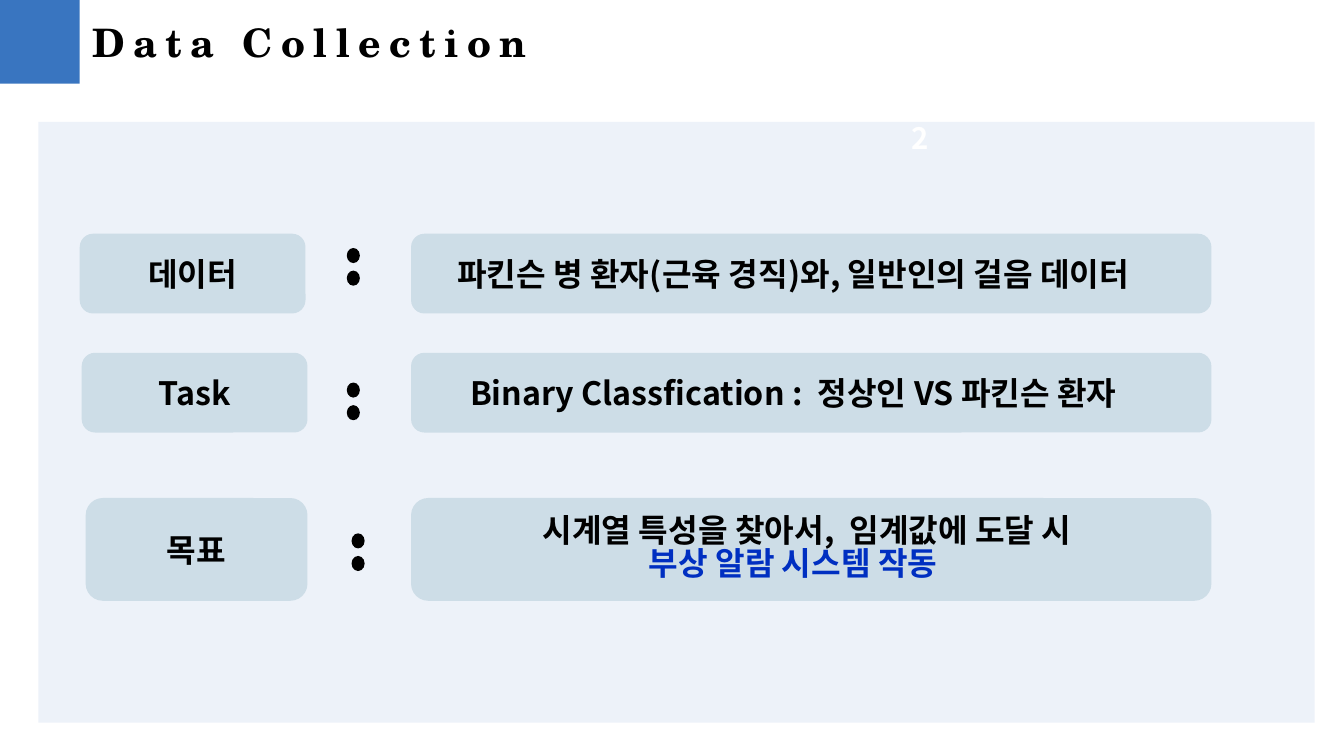
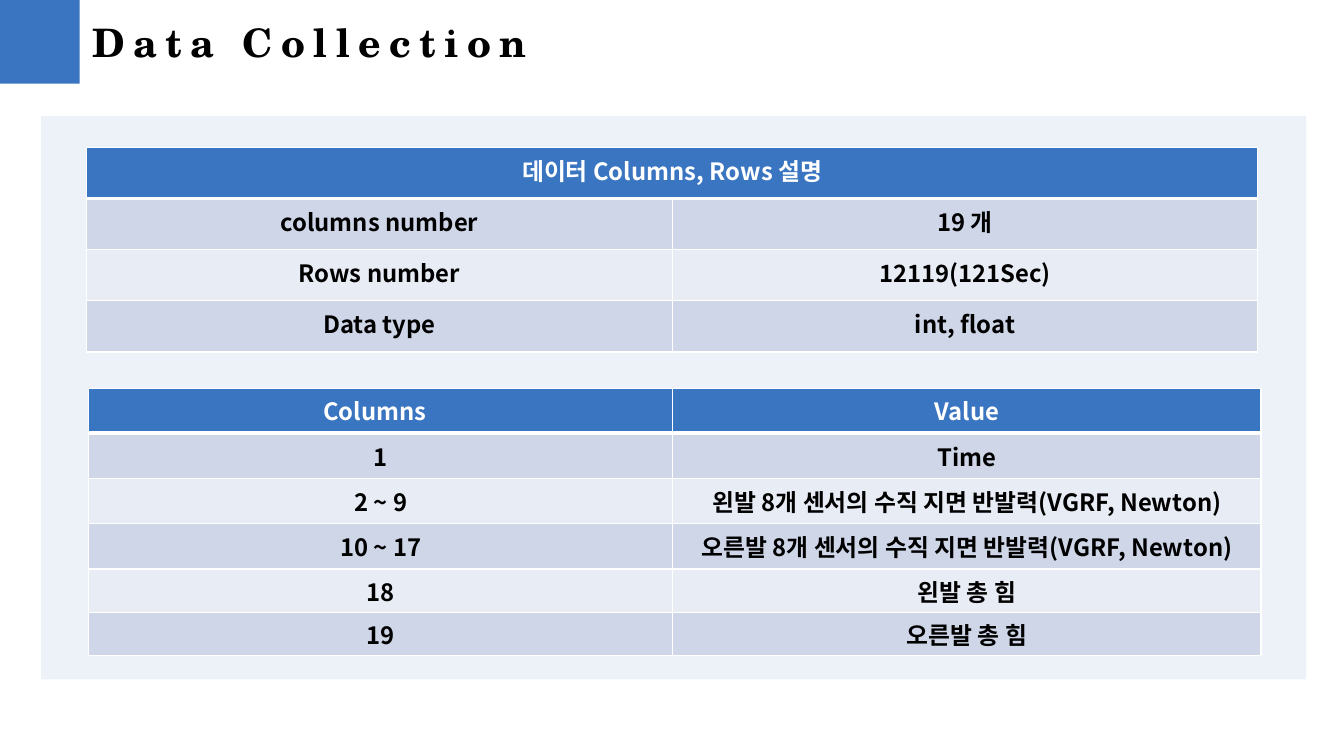
from lxml import etree
from pptx import Presentation
from pptx.dml.color import RGBColor
from pptx.enum.shapes import MSO_SHAPE
from pptx.enum.text import MSO_ANCHOR, PP_ALIGN
from pptx.oxml.ns import qn
from pptx.util import Cm, Pt

RECT, ROUND, OVAL = MSO_SHAPE.RECTANGLE, MSO_SHAPE.ROUNDED_RECTANGLE, MSO_SHAPE.OVAL
LEFT, CENTER = PP_ALIGN.LEFT, PP_ALIGN.CENTER
MIDDLE, TOP = MSO_ANCHOR.MIDDLE, MSO_ANCHOR.TOP

# Shared look
BODY_FONT, TITLE_FONT = "Noto Sans CJK KR", "TeX Gyre Schola"
BLACK, WHITE = "000000", "FFFFFF"
BLUE, PANEL, BOX, ACCENT = "3975C0", "EDF2F9", "CDDDE7", "002FC1"
ROW_FILLS = ("CED6E8", "E8ECF4")


def color(value):
    return RGBColor.from_string(value)


def write(p, text, size=23, font=BODY_FONT, fill=BLACK, align=CENTER, spacing=0):
    """Put formatted bold text into paragraph p."""
    p.alignment = align
    r = p.add_run()
    r.text = text
    r.font.size, r.font.bold, r.font.name = Pt(size), True, font
    r.font.color.rgb = color(fill)
    rPr = r._r.get_or_add_rPr()
    etree.SubElement(rPr, qn("a:ea")).set("typeface", font)
    if spacing:
        rPr.set("spc", str(spacing * 100))
    return p


def add_shape(slide, kind, left, top, width, height, fill):
    sp = slide.shapes.add_shape(kind, Cm(left), Cm(top), Cm(width), Cm(height))
    sp.shadow.inherit = False
    sp.fill.solid()
    sp.fill.fore_color.rgb = color(fill)
    sp.line.fill.background()
    return sp


def add_box(slide, left, top, width, height, lines, right_inset=0.25):
    """Rounded box; lines holds (text, colour) pairs."""
    tf = add_shape(slide, ROUND, left, top, width, height, BOX).text_frame
    tf.word_wrap, tf.vertical_anchor = True, MIDDLE
    tf.margin_right = Cm(right_inset)
    for i, (text, fill) in enumerate(lines):
        p = write(tf.paragraphs[0] if i == 0 else tf.add_paragraph(), text, fill=fill)
        if len(lines) > 1:
            p.line_spacing = 0.83
    return tf


def add_colon(slide, left, top):
    for i in range(2):
        add_shape(slide, OVAL, left, top + 0.57 * i, 0.33, 0.38, BLACK)


def add_border(cell, bottom=1):
    tcPr = cell._tc.get_or_add_tcPr()
    sides = (("L", 1), ("R", 1), ("T", 1), ("B", bottom))
    for i, (side, width) in enumerate(sides):
        ln = etree.Element(qn(f"a:ln{side}"), w=str(Pt(width)))
        solid = etree.SubElement(ln, qn("a:solidFill"))
        etree.SubElement(solid, qn("a:srgbClr")).set("val", WHITE)
        tcPr.insert(i, ln)


def add_table(slide, left, top, widths, heights, rows):
    """Banded table; a one-item row spans all columns."""
    frame = slide.shapes.add_table(len(rows), len(widths), Cm(left), Cm(top),
                                   Cm(sum(widths)), Cm(sum(heights)))
    table = frame.table
    for column, width in zip(table.columns, widths):
        column.width = Cm(width)
    for i, (texts, height) in enumerate(zip(rows, heights)):
        table.rows[i].height = Cm(height)
        header = i == 0
        for cell in table.rows[i].cells:
            cell.fill.solid()
            cell.fill.fore_color.rgb = color(BLUE if header else ROW_FILLS[(i - 1) % 2])
            cell.vertical_anchor, cell.margin_bottom = TOP, Cm(0.05)
            add_border(cell, bottom=3 if header else 1)
        if len(texts) == 1:
            table.cell(i, 0).merge(table.cell(i, len(widths) - 1))
        for j, text in enumerate(texts):
            write(table.cell(i, j).text_frame.paragraphs[0], text, size=17,
                  fill=WHITE if header else BLACK)
    return table


def add_slide(prs, title, panel):
    """Slide with the pale panel, the corner block and the title."""
    slide = prs.slides.add_slide(prs.slide_layouts[5])
    add_shape(slide, RECT, *panel, PANEL)
    add_shape(slide, RECT, 0, 0, 2.01, 2.11, BLUE)
    sp = slide.shapes.title
    sp.left, sp.top, sp.width, sp.height = Cm(2.08), Cm(0.33), Cm(11.58), Cm(1.45)
    tf = sp.text_frame
    tf.word_wrap, tf.vertical_anchor = False, TOP
    write(tf.paragraphs[0], title, size=28, font=TITLE_FONT, align=LEFT, spacing=6)
    return slide


def build_overview(prs):
    slide = add_slide(prs, "Data Collection", (0.97, 3.07, 32.16, 15.14))

    # Page number
    number = slide.shapes.add_textbox(Cm(22.4), Cm(2.85), Cm(1.6), Cm(1.25))
    tf = number.text_frame
    tf.word_wrap, tf.vertical_anchor = True, MIDDLE
    write(tf.paragraphs[0], "2", size=21, fill=WHITE)

    # Rows: top, height, label left and width, label, colon left and top, lines
    rows = [
        (5.89, 2.01, 2.01, 5.69, "데이터", 8.74, 6.25,
         [("파킨슨 병 환자(근육 경직)와, 일반인의 걸음 데이터", BLACK)]),
        (8.89, 2.01, 2.06, 5.69, "Task", 8.74, 9.64,
         [("Binary Classfication :  정상인 VS 파킨슨 환자", BLACK)]),
        (12.55, 2.59, 2.16, 5.59, "목표", 8.86, 13.44,
         [("시계열 특성을 찾아서,  임계값에 도달 시", BLACK),
          ("부상 알람 시스템 작동", ACCENT)]),
    ]
    for top, height, left, width, label, dot_left, dot_top, lines in rows:
        tf = add_box(slide, 10.36, top, 20.17, height, lines, right_inset=1.15)
        add_box(slide, left, top, width, height, [(label, BLACK)])
        add_colon(slide, dot_left, dot_top)

    # The first line of the goal sits a little to the right
    pPr = tf.paragraphs[0]._p.get_or_add_pPr()
    pPr.set("marL", str(Cm(0.7)))
    pPr.set("indent", "0")


def build_columns(prs):
    slide = add_slide(prs, "Data Collection", (1.04, 2.92, 31.88, 14.2))
    table = add_table(slide, 2.24, 9.78, [14.71, 14.83], [1.14] * 4 + [1.09] * 2, [
        ("Columns", "Value"),
        ("1", "Time"),
        ("2 ~ 9", "왼발 8개 센서의 수직 지면 반발력(VGRF, Newton)"),
        ("10 ~ 17", "오른발 8개 센서의 수직 지면 반발력(VGRF, Newton)"),
        ("18", "왼발 총 힘"),
        ("19", "오른발 총 힘"),
    ])
    table.cell(0, 0).margin_right = Cm(0.55)
    add_table(slide, 2.18, 3.71, [14.76] * 2, [1.29] * 4, [
        ("데이터 Columns, Rows 설명",),
        ("columns number", "19 개"),
        ("Rows number", "12119(121Sec)"),
        ("Data type", "int, float"),
    ])


def main():
    prs = Presentation()
    prs.slide_width, prs.slide_height = Cm(33.87), Cm(19.05)
    build_overview(prs)
    build_columns(prs)
    prs.save("out.pptx")


if __name__ == "__main__":
    main()
